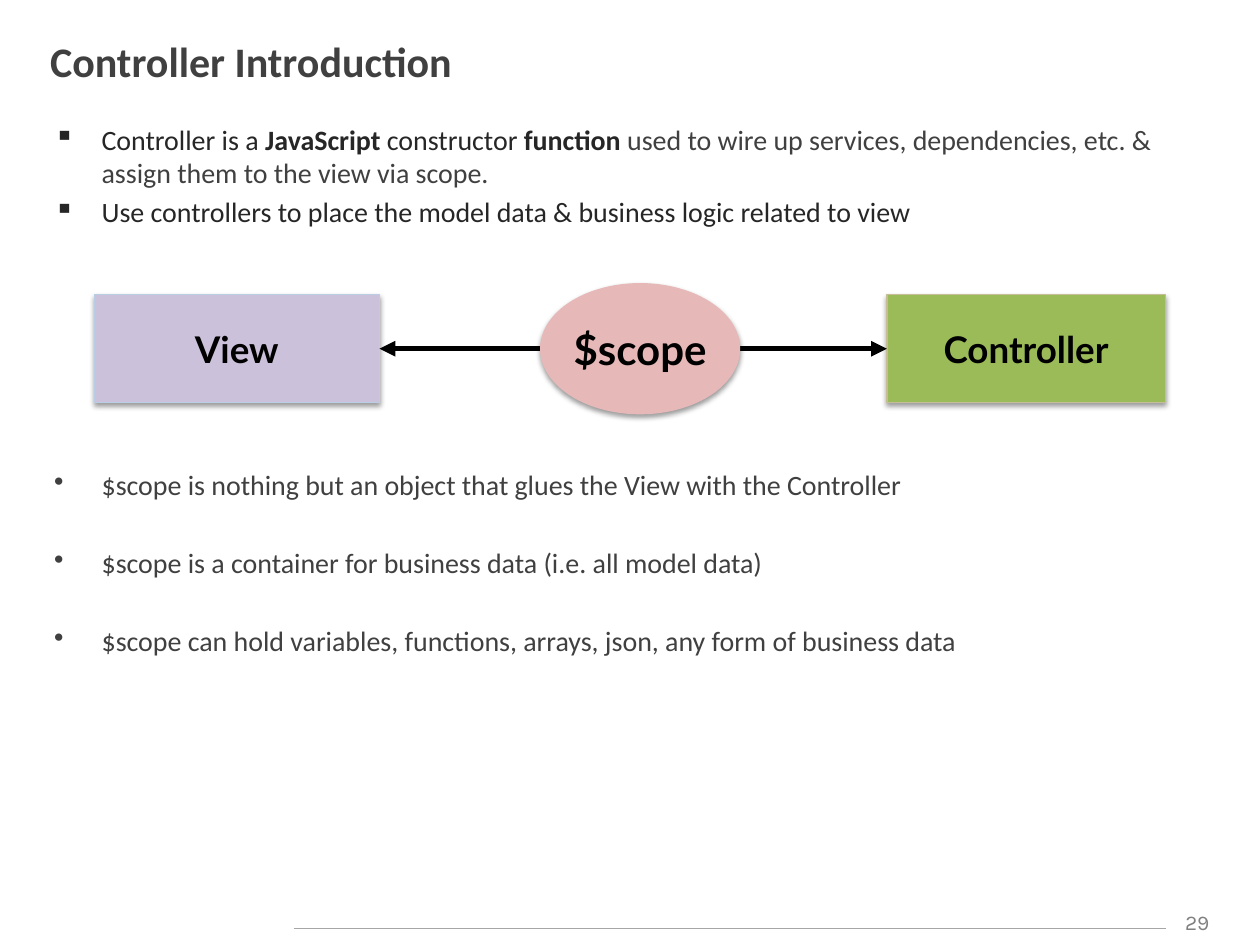
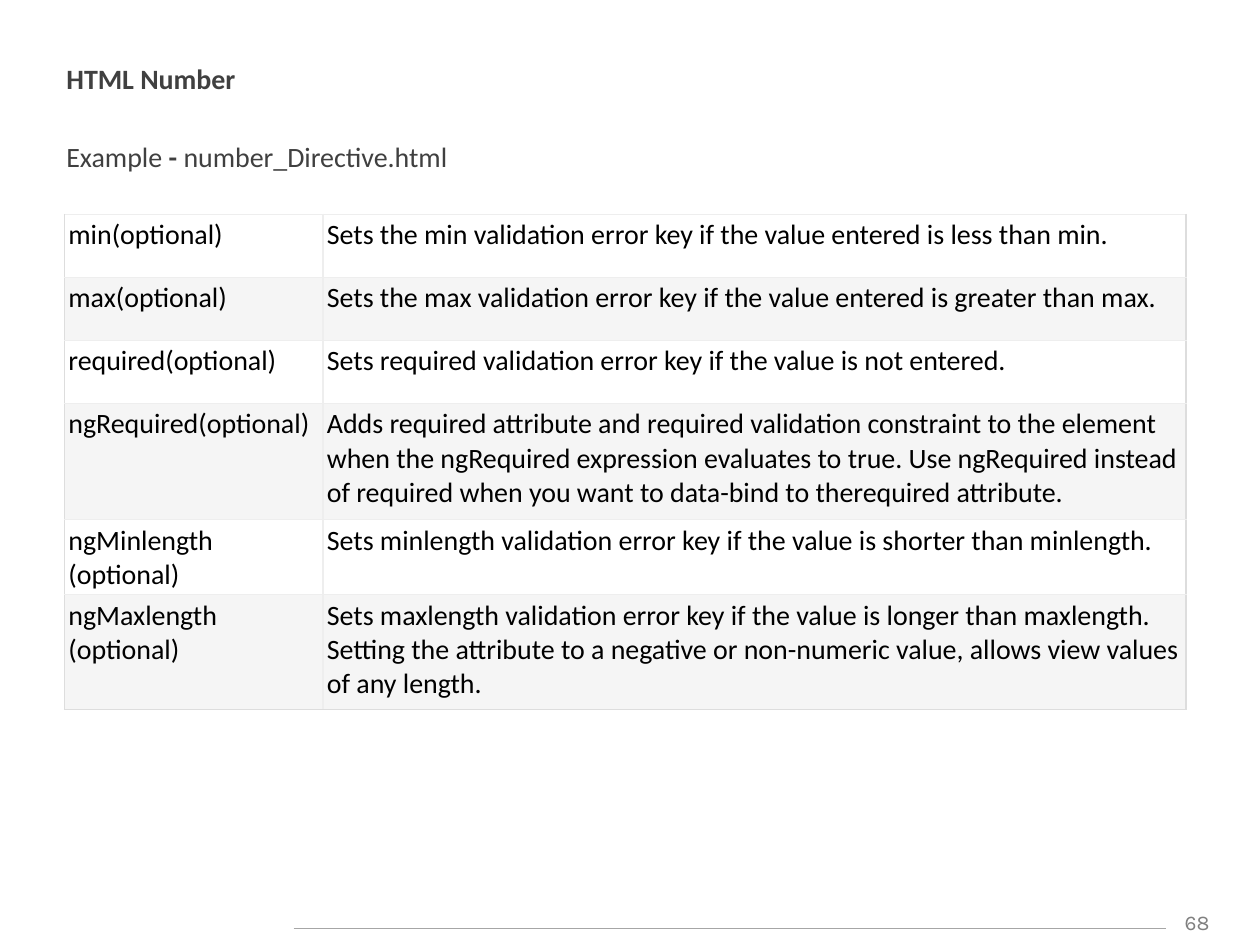
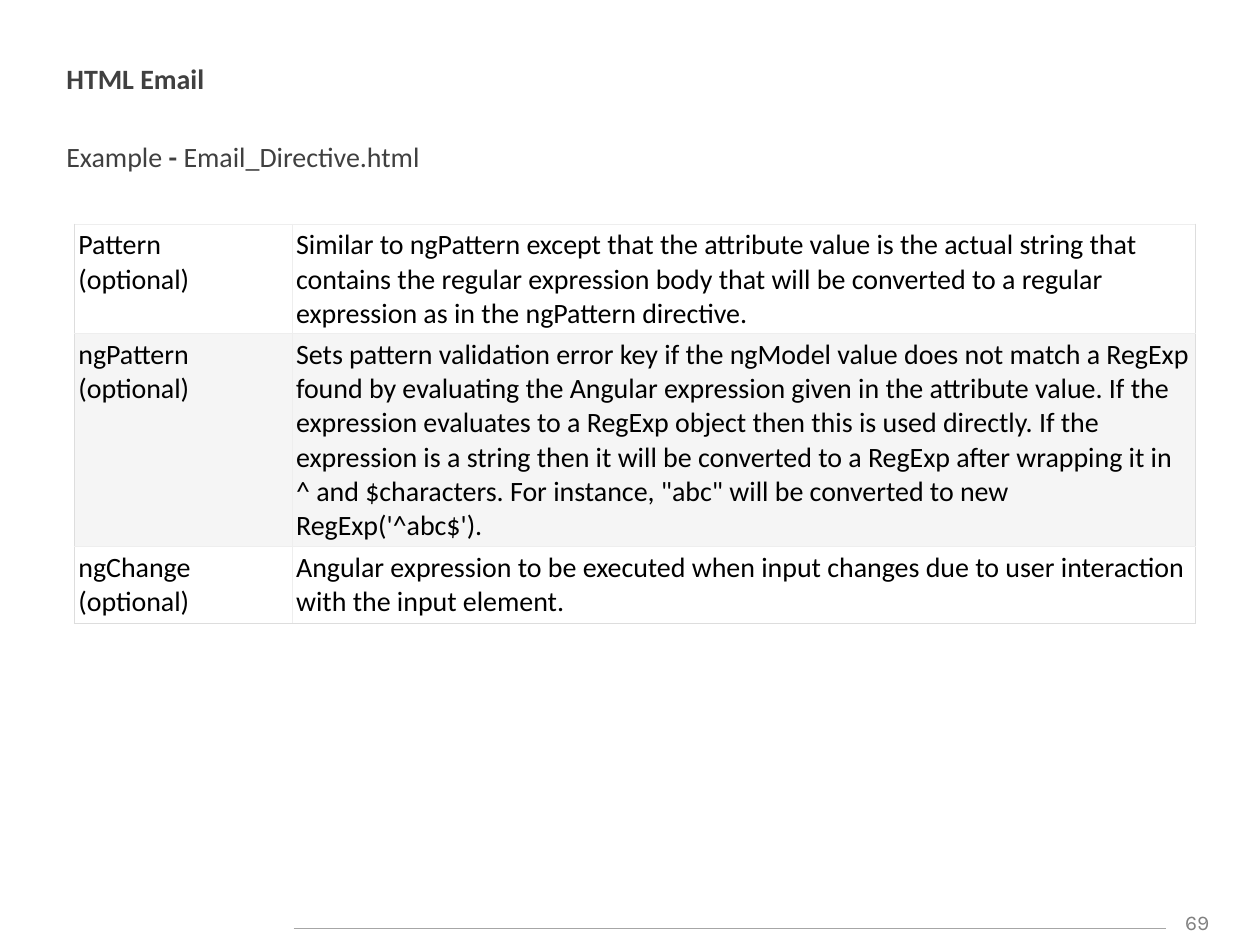
from dataclasses import dataclass

from lxml import etree
from pptx import Presentation
from pptx.dml.color import RGBColor
from pptx.enum.shapes import MSO_CONNECTOR, MSO_SHAPE
from pptx.enum.text import MSO_ANCHOR, PP_ALIGN
from pptx.oxml.ns import qn
from pptx.shapes.autoshape import Shape
from pptx.shapes.connector import Connector
from pptx.slide import Slide
from pptx.table import _Cell
from pptx.text.text import TextFrame
from pptx.util import Cm, Pt

RECT = MSO_SHAPE.RECTANGLE
OVAL = MSO_SHAPE.OVAL
STRAIGHT = MSO_CONNECTOR.STRAIGHT
LEFT = PP_ALIGN.LEFT
CENTER = PP_ALIGN.CENTER
TOP = MSO_ANCHOR.TOP
MIDDLE = MSO_ANCHOR.MIDDLE


@dataclass(frozen=True)
class Theme:
    black: str = "000000"
    ink: str = "262626"
    text: str = "404040"
    page: str = "808080"
    rule: str = "A6A6A6"
    edge: str = "DDDDDD"
    grid: str = "EEEEEE"
    plain: str = "FFFFFF"
    band: str = "F5F5F5"
    lilac: str = "CCC1DA"
    sky: str = "B9CDE5"
    green: str = "9BBB59"
    sand: str = "C4BD97"
    pink: str = "E6B9B8"
    body_font: str = "Calibri"
    shape_font: str = "Lato"
    page_font: str = "Karla"
    title: float = 24
    label: float = 21
    body: float = 16
    small: float = 12
    thin: float = 0.75
    thick: float = 3
    near: float = 3
    gap: float = 25.3
    pad: float = 0.08
    indent: float = 0.96


THEME = Theme()


@dataclass(frozen=True)
class Box:
    left: float
    top: float
    width: float
    height: float

    def place(self) -> tuple[Cm, Cm, Cm, Cm]:
        return Cm(self.left), Cm(self.top), Cm(self.width), Cm(self.height)


@dataclass(frozen=True)
class Run:
    text: str
    bold: bool | None = None
    color: str | None = None


@dataclass(frozen=True)
class Para:
    runs: tuple[Run, ...]
    before: float = 0
    mark: str = ""


@dataclass(frozen=True)
class Node:
    text: str
    kind: int
    box: Box
    fill: str
    line: str
    size: float


@dataclass(frozen=True)
class Sheet:
    page: int
    head: str
    file: str
    left: float
    top: float
    cols: tuple[float, ...]
    heights: tuple[float, ...]
    rows: tuple[tuple[str, str], ...]


TITLE_BOX = Box(0.76, 0.43, 23.77, 1.6)
LIST_BOX = Box(0.84, 2.34, 23.65, 15.19)
INTRO_BOX = Box(1.09, 1.12, 23.88, 3)
PAGE_BOX = Box(23.5, 18.21, 1.27, 0.76)

POINTS = (
    Para((
        Run("Controller is a ", color=THEME.ink),
        Run("JavaScript", True, THEME.ink),
        Run(" constructor", color=THEME.ink),
        Run(" function ", True, THEME.ink),
        Run("used to wire up services, dependencies, etc. & "
            "assign them to the view via scope."),
    ), mark="▪"),
    Para((Run("Use controllers to place the model data & business logic "
              "related to view", color=THEME.ink),), THEME.near, "▪"),
    Para((Run("$scope is nothing but an object that glues the View with "
              "the Controller"),), 137, "•"),
    Para((Run("$scope is a container for business data "
              "(i.e. all model data)"),), THEME.gap, "•"),
    Para((Run("$scope can hold variables, functions, arrays, json, "
              "any form of business data"),), THEME.gap, "•"),
)

VIEW = Node("View", RECT, Box(1.9, 5.94, 5.75, 2.18),
            THEME.lilac, THEME.sky, THEME.label)
CONTROL = Node("Controller", RECT, Box(17.88, 5.94, 5.61, 2.18),
               THEME.green, THEME.sand, THEME.label)
SCOPE = Node("$scope", OVAL, Box(10.9, 5.72, 4.01, 2.62),
             THEME.pink, THEME.pink, THEME.title)

SHEETS = (
    Sheet(
        68, "HTML Number", "number_Directive.html", 1.3, 4.32,
        (5.21, 17.4), (1.27, 1.27, 1.27, 2.34, 1.52, 2.31),
        (
            ("min(optional)",
             "Sets the min validation error key if the value entered is "
             "less than min."),
            ("max(optional)",
             "Sets the max validation error key if the value entered is "
             "greater than max."),
            ("required(optional)",
             "Sets required validation error key if the value is not "
             "entered."),
            ("ngRequired(optional)",
             "Adds required attribute and required validation constraint "
             "to the element when the ngRequired expression evaluates to "
             "true. Use ngRequired instead of required when you want to "
             "data-bind to therequired attribute."),
            ("ngMinlength\n(optional)",
             "Sets minlength validation error key if the value is shorter "
             "than minlength."),
            ("ngMaxlength\n(optional)",
             "Sets maxlength validation error key if the value is longer "
             "than maxlength. Setting the attribute to a negative or "
             "non-numeric value, allows view values of any length."),
        ),
    ),
    Sheet(
        69, "HTML Email", "Email_Directive.html", 1.5, 4.52,
        (4.39, 18.21), (2.21, 4.29, 1.55),
        (
            ("Pattern\n(optional)",
             "Similar to ngPattern except that the attribute value is the "
             "actual string that contains the regular expression body that "
             "will be converted to a regular expression as in the ngPattern "
             "directive."),
            ("ngPattern\n(optional)",
             "Sets pattern validation error key if the ngModel value does "
             "not match a RegExp found by evaluating the Angular expression "
             "given in the attribute value. If the expression evaluates to a "
             "RegExp object then this is used directly. If the expression is "
             "a string then it will be converted to a RegExp after wrapping "
             "it in ^ and $characters. For instance, \"abc\" will be "
             "converted to new RegExp('^abc$')."),
            ("ngChange\n(optional)",
             "Angular expression to be executed when input changes due to "
             "user interaction with the input element."),
        ),
    ),
)


def rgb(code: str) -> RGBColor:
    return RGBColor.from_string(code)


def add(parent: etree._Element, tag: str, **attrs: object) -> etree._Element:
    return etree.SubElement(parent, qn(tag),
                            {key: str(val) for key, val in attrs.items()})


def write(frame: TextFrame, text: str | tuple[Para, ...], *,
          size: float = THEME.body, font: str = THEME.body_font,
          color: str = THEME.text, bold: bool = False,
          align: int = LEFT, anchor: int = TOP, wrap: bool = True) -> None:
    if isinstance(text, str):
        text = tuple(Para((Run(line),)) for line in text.split("\n"))
    frame.word_wrap = wrap
    frame.vertical_anchor = anchor
    for at, item in enumerate(text):
        para = frame.add_paragraph() if at else frame.paragraphs[0]
        para.alignment = align
        para.space_before = Pt(item.before)
        if item.mark:
            props = para._p.get_or_add_pPr()
            props.set("marL", str(Cm(THEME.indent)))
            props.set("indent", str(-Cm(THEME.indent)))
            add(props, "a:buChar", char=item.mark)
        for part in item.runs:
            run = para.add_run()
            run.text = part.text
            run.font.name = font
            run.font.size = Pt(size)
            run.font.bold = bold if part.bold is None else part.bold
            run.font.color.rgb = rgb(part.color or color)


def add_text(slide: Slide, box: Box, text: str | tuple[Para, ...],
             **style: object) -> None:
    write(slide.shapes.add_textbox(*box.place()).text_frame, text, **style)


def add_line(slide: Slide, start: float, end: float, y: float,
             color: str, width: float) -> Connector:
    line = slide.shapes.add_connector(STRAIGHT, Cm(start), Cm(y),
                                      Cm(end), Cm(y))
    line.line.color.rgb = rgb(color)
    line.line.width = Pt(width)
    add(line._element.spPr, "a:effectLst")
    return line


def add_arrow(slide: Slide, start: Box, end: Box) -> None:
    line = add_line(slide, start.left, end.left + end.width,
                    start.top + start.height / 2, THEME.black, THEME.thick)
    stroke = line.line._get_or_add_ln()
    for tag in ("a:headEnd", "a:tailEnd"):
        add(stroke, tag, type="triangle")


def add_shade(shape: Shape) -> None:
    shape.shadow.inherit = False
    effects = shape._element.spPr.find(qn("a:effectLst"))
    shade = add(effects, "a:outerShdw", blurRad=Pt(3.1), dist=Pt(1.6),
                dir=5400000, rotWithShape=0)
    add(add(shade, "a:srgbClr", val=THEME.black), "a:alpha", val=38000)


def add_node(slide: Slide, node: Node) -> None:
    shape = slide.shapes.add_shape(node.kind, *node.box.place())
    shape.fill.solid()
    shape.fill.fore_color.rgb = rgb(node.fill)
    shape.line.color.rgb = rgb(node.line)
    shape.line.width = Pt(THEME.thin)
    add_shade(shape)
    write(shape.text_frame, node.text, size=node.size, font=THEME.shape_font,
          color=THEME.black, bold=True, align=CENTER, anchor=MIDDLE,
          wrap=False)


def frame_cell(cell: _Cell, edges: dict[str, bool]) -> None:
    props = cell._tc.get_or_add_tcPr()
    for side, outer in edges.items():
        stroke = add(props, f"a:ln{side}", w=Pt(THEME.thin))
        fill = add(stroke, "a:solidFill")
        add(fill, "a:srgbClr", val=THEME.edge if outer else THEME.grid)


def add_grid(slide: Slide, sheet: Sheet) -> None:
    box = Box(sheet.left, sheet.top, sum(sheet.cols), sum(sheet.heights))
    table = slide.shapes.add_table(len(sheet.rows), len(sheet.cols),
                                   *box.place()).table
    table.first_row = table.horz_banding = False
    for col, width in zip(table.columns, sheet.cols):
        col.width = Cm(width)
    for y, (row, height) in enumerate(zip(table.rows, sheet.heights)):
        row.height = Cm(height)
        for x, cell in enumerate(row.cells):
            cell.margin_left = cell.margin_right = Cm(THEME.pad)
            cell.margin_top = cell.margin_bottom = Cm(THEME.pad)
            frame_cell(cell, {"L": x == 0, "R": x == len(sheet.cols) - 1,
                              "T": False, "B": y == len(sheet.rows) - 1})
            cell.fill.solid()
            cell.fill.fore_color.rgb = rgb(THEME.band if y % 2
                                           else THEME.plain)
            write(cell.text_frame, sheet.rows[y][x], color=THEME.black)


def new_slide(deck: Presentation, page: int) -> Slide:
    slide = deck.slides.add_slide(deck.slide_layouts[6])
    add_text(slide, PAGE_BOX, str(page), size=THEME.small,
             font=THEME.page_font, color=THEME.page, align=CENTER)
    add_line(slide, 5.92, PAGE_BOX.left, 18.72, THEME.rule, THEME.thin)
    return slide


def draw_scope(deck: Presentation) -> None:
    slide = new_slide(deck, 29)
    add_text(slide, TITLE_BOX, "Controller Introduction", size=THEME.title,
             bold=True, anchor=MIDDLE)
    add_text(slide, LIST_BOX, POINTS)
    add_node(slide, VIEW)
    add_node(slide, CONTROL)
    add_arrow(slide, CONTROL.box, VIEW.box)
    add_node(slide, SCOPE)


def draw_sheet(deck: Presentation, sheet: Sheet) -> None:
    slide = new_slide(deck, sheet.page)
    add_text(slide, INTRO_BOX, (
        Para((Run(sheet.head, True),)),
        Para((Run("Example "), Run("- ", True), Run(sheet.file)), THEME.gap),
    ))
    add_grid(slide, sheet)


def main() -> None:
    deck = Presentation()
    deck.slide_width, deck.slide_height = Cm(25.4), Cm(19.05)
    draw_scope(deck)
    for sheet in SHEETS:
        draw_sheet(deck, sheet)
    deck.save("out.pptx")


if __name__ == "__main__":
    main()
